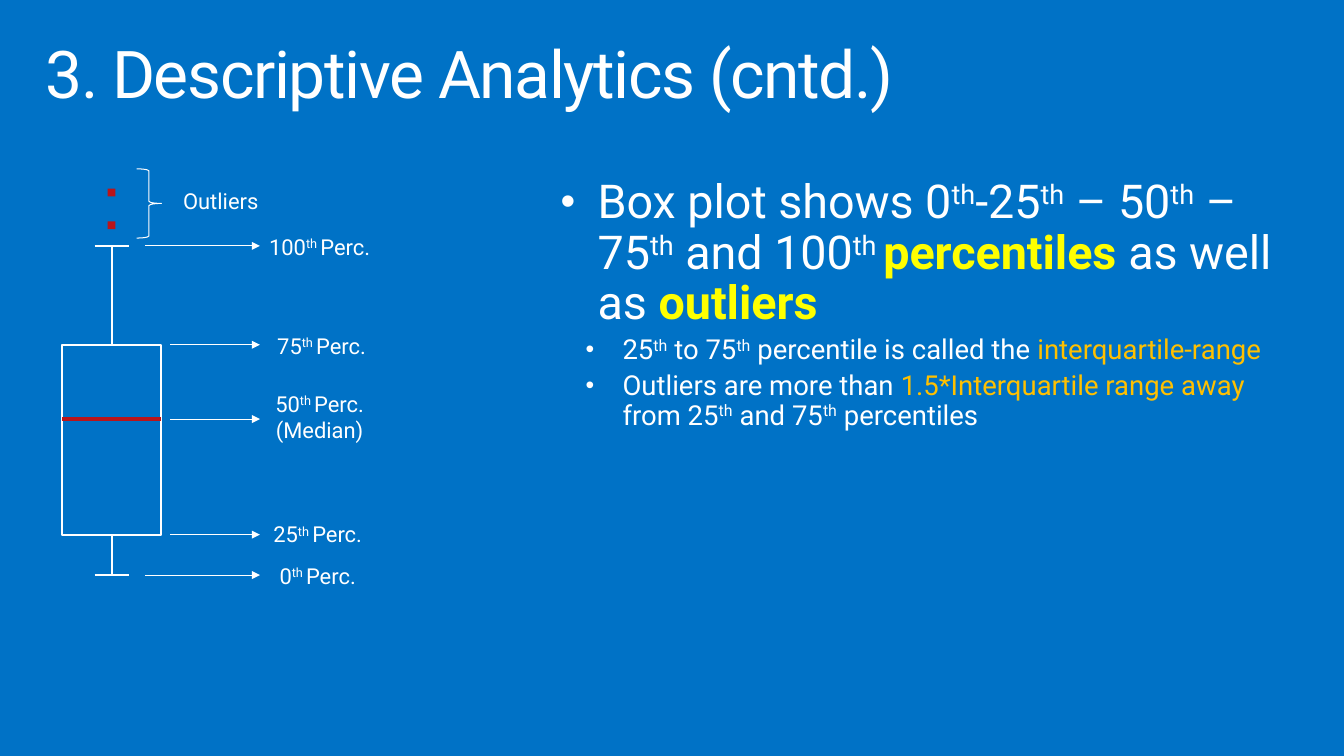
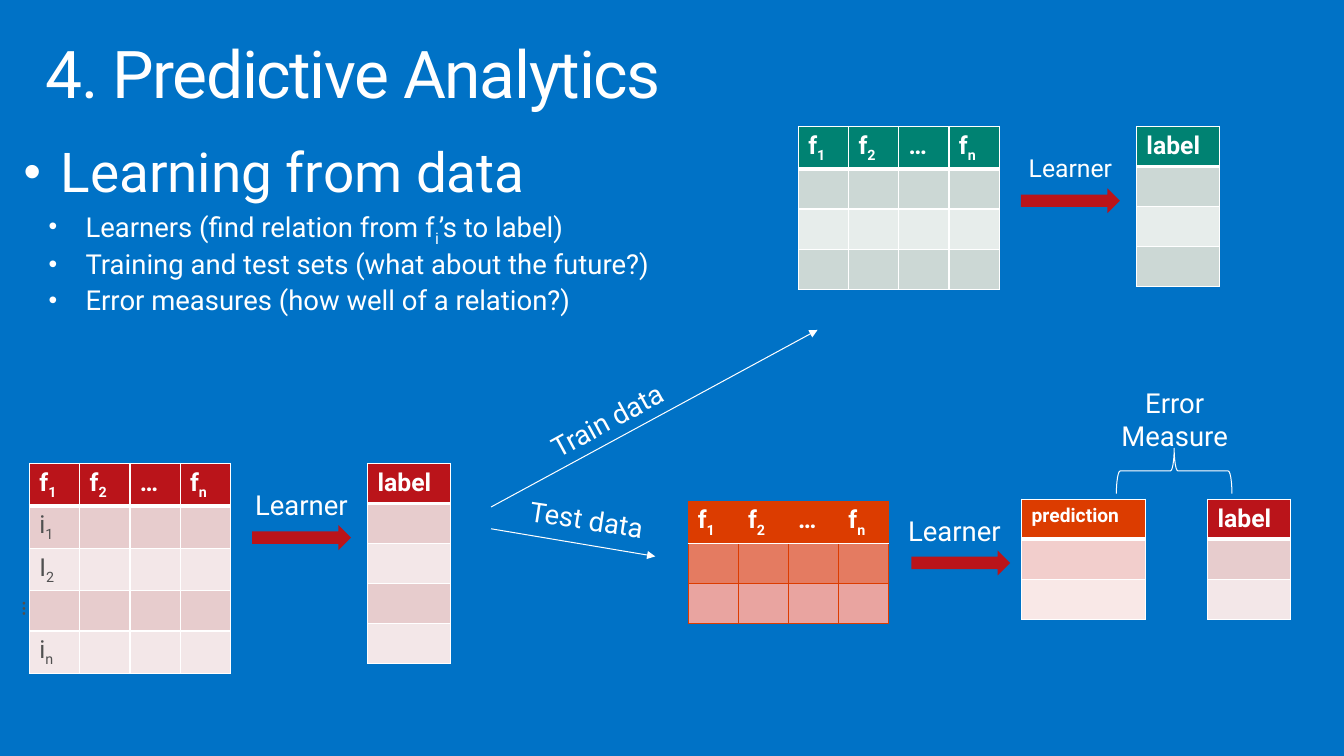
import lxml.etree
import pptx
import pptx.dml.color
import pptx.enum.shapes
import pptx.enum.text
import pptx.oxml.ns
import pptx.util

Cm = pptx.util.Cm
Pt = pptx.util.Pt
RGBColor = pptx.dml.color.RGBColor
SHAPE = pptx.enum.shapes.MSO_SHAPE
qn = pptx.oxml.ns.qn

BLUE = RGBColor(0x00, 0x72, 0xC6)
WHITE = RGBColor(0xFF, 0xFF, 0xFF)
YELLOW = RGBColor(0xFF, 0xFF, 0x00)
GOLD = RGBColor(0xFF, 0xC0, 0x00)
GREY = RGBColor(0x50, 0x50, 0x50)
RED = RGBColor(0xBA, 0x14, 0x1A)
GREEN = RGBColor(0x00, 0x82, 0x72)
ORANGE = RGBColor(0xDC, 0x3C, 0x00)

# Two alternating body fills for each table colour
RED_BANDS = (RGBColor(0xE7, 0xCC, 0xCD), RGBColor(0xF3, 0xE7, 0xE8))
GREEN_BANDS = (RGBColor(0xCC, 0xD8, 0xD5), RGBColor(0xE7, 0xED, 0xEB))
ORANGE_BANDS = (RGBColor(0xE4, 0x7B, 0x61), RGBColor(0xE9, 0xA4, 0xA0))
PREDICTION_BANDS = (RGBColor(0xF2, 0xCE, 0xCC), RGBColor(0xF9, 0xE8, 0xE7))

# A span is plain text or (text, style)
TH = ("th", {"baseline": 30000})
TH_GAP = ("th ", {"baseline": 30000})
STRONG = {"color": YELLOW, "bold": True}
ACCENT = {"color": GOLD}

ROW_HEIGHT = 1.03
FEATURE_WIDTHS = [1.29] * 4
LABEL_WIDTHS = [2.12]


def indexed(letter, index):
    return [letter, (index, {"baseline": -25000})]


FEATURES = [indexed("f", "1"), indexed("f", "2"), ["…"], indexed("f", "n")]


class Builder:
    font = "Roboto"

    def __init__(self):
        self.deck = pptx.Presentation()
        self.deck.slide_width = Cm(34.54)
        self.deck.slide_height = Cm(19.43)
        self.page = None

    def new_page(self, title):
        self.page = self.deck.slides.add_slide(self.deck.slide_layouts[6])
        self.page.background.fill.solid()
        self.page.background.fill.fore_color.rgb = BLUE
        frame = self.text_frame(0.76, 0.81, 33.02, 2.54, 0.41, 0.25)
        para = frame.paragraphs[0]
        para.line_spacing = 0.9
        self.add_spans(para, [(title, {"spacing": -100})], 48)

    def text_frame(self, left, top, width, height, side, edge, rotation=0):
        box = self.page.shapes.add_textbox(Cm(left), Cm(top), Cm(width), Cm(height))
        box.rotation = rotation
        frame = box.text_frame
        frame.word_wrap = True
        frame.auto_size = pptx.enum.text.MSO_AUTO_SIZE.NONE
        frame.margin_left = frame.margin_right = Cm(side)
        frame.margin_top = frame.margin_bottom = Cm(edge)
        return frame

    def add_spans(self, para, spans, size, color=WHITE, bold=False):
        for item in spans:
            text, style = (item, {}) if isinstance(item, str) else item
            span = para.add_run()
            span.text = text
            span.font.name = self.font
            span.font.size = Pt(size)
            span.font.color.rgb = style.get("color", color)
            span.font.bold = style.get("bold", bold)
            properties = span.font._element
            if "baseline" in style:
                properties.set("baseline", str(style["baseline"]))
            if "spacing" in style:
                properties.set("spc", str(style["spacing"]))

    def bullets(self, left, top, width, height, lead_size, paragraphs):
        """The first paragraph leads; the others sit one level below it."""
        frame = self.text_frame(left, top, width, height, 0.41, 0.25)
        for index, spans in enumerate(paragraphs):
            para = frame.add_paragraph() if index else frame.paragraphs[0]
            para.line_spacing = 0.9
            if index:
                para.level = 1
                para.space_before = Pt(4.5)
            properties = para._p.get_or_add_pPr()
            properties.set("marL", str(Cm(1.59 if index else 0.95)))
            properties.set("indent", str(-Cm(0.95)))
            for tag, name, value in (("a:buSzPct", "val", "90000"),
                                     ("a:buFont", "typeface", "Arial"),
                                     ("a:buChar", "char", "•")):
                lxml.etree.SubElement(properties, qn(tag)).set(name, value)
            self.add_spans(para, spans, 20 if index else lead_size)

    def label(self, left, top, width, height, paragraphs, size=20, rotation=0):
        frame = self.text_frame(left, top, width, height, 0, 0.13, rotation)
        frame.vertical_anchor = pptx.enum.text.MSO_ANCHOR.MIDDLE
        for index, spans in enumerate(paragraphs):
            para = frame.add_paragraph() if index else frame.paragraphs[0]
            para.alignment = pptx.enum.text.PP_ALIGN.CENTER
            self.add_spans(para, spans, size)

    def shape(self, kind, left, top, width, height, fill=None, line=None, rotation=0):
        """Draw a preset shape; line is a width in points."""
        shape = self.page.shapes.add_shape(
            kind, Cm(left), Cm(top), Cm(width), Cm(height))
        shape.shadow.inherit = False
        shape.rotation = rotation
        if fill is None:
            shape.fill.background()
        else:
            shape.fill.solid()
            shape.fill.fore_color.rgb = fill
        if line is None:
            shape.line.fill.background()
        else:
            shape.line.color.rgb = WHITE
            shape.line.width = Pt(line)
        return shape

    def line(self, x1, y1, x2, y2, width=1.5, color=WHITE):
        line = self.page.shapes.add_connector(
            pptx.enum.shapes.MSO_CONNECTOR.STRAIGHT, Cm(x1), Cm(y1), Cm(x2), Cm(y2))
        line.line.color.rgb = color
        line.line.width = Pt(width)
        lxml.etree.SubElement(line._element.spPr, qn("a:effectLst"))
        return line

    def arrow(self, x1, y1, x2, y2):
        outline = self.line(x1, y1, x2, y2, 0.75).line._get_or_add_ln()
        lxml.etree.SubElement(outline, qn("a:tailEnd")).set("type", "triangle")

    def border(self, cell, side, color, width):
        properties = cell._tc.get_or_add_tcPr()
        edge = lxml.etree.SubElement(properties, qn("a:ln" + side))
        edge.set("w", str(Pt(width)))
        fill = lxml.etree.SubElement(edge, qn("a:solidFill"))
        lxml.etree.SubElement(fill, qn("a:srgbClr")).set("val", str(color))

    def table(self, left, top, widths, header, body_rows, color, bands,
              size=18, grid=(WHITE, 1), rule=3):
        """Draw a banded table; rule is the line width below the header."""
        rows = body_rows + 1
        table = self.page.shapes.add_table(
            rows, len(widths), Cm(left), Cm(top),
            Cm(sum(widths)), Cm(rows * ROW_HEIGHT)).table
        table.first_row = table.horz_banding = False
        for column, width in zip(table.columns, widths):
            column.width = Cm(width)
        for index, row in enumerate(table.rows):
            row.height = Cm(ROW_HEIGHT)
            for cell in row.cells:
                self.border(cell, "L", *grid)
                self.border(cell, "R", *grid)
                self.border(cell, "T", *((WHITE, rule) if index == 1 else grid))
                self.border(cell, "B", *((WHITE, rule) if index == 0 else grid))
                cell.fill.solid()
                cell.fill.fore_color.rgb = bands[(index - 1) % 2] if index else color
        for column, spans in enumerate(header):
            para = table.cell(0, column).text_frame.paragraphs[0]
            self.add_spans(para, spans, size, bold=True)
        return table

    def learner(self, left, top, size=20, label_left=None):
        self.shape(SHAPE.RIGHT_ARROW, left, top, 2.54, 0.64, fill=RED)
        self.label(left if label_left is None else label_left, top - 1.16,
                   2.54, 1.27, [["Learner"]], size)

    def learning_step(self, left, top, body_rows, color, bands, size):
        """Draw features, a learner arrow and labels; return the features table."""
        features = self.table(left, top, FEATURE_WIDTHS, FEATURES, body_rows, color, bands)
        self.table(left + 8.69, top, LABEL_WIDTHS, [["label"]], body_rows, color, bands)
        self.learner(left + 5.72, top + 1.59, size)
        return features


def descriptive_page(builder):
    builder.new_page("3. Descriptive Analytics (cntd.)")
    builder.bullets(14, 4.34, 19.81, 7.09, 34, [
        ["Box plot shows 0", TH, "-25", TH, " – 50", TH, " – 75", TH, " and 100",
         TH_GAP, ("percentiles ", STRONG), "as well as ", ("outliers", STRONG)],
        ["25", TH, " to 75", TH, " percentile is called the ",
         ("interquartile-range", ACCENT)],
        ["Outliers are more than ", ("1.5*Interquartile range away ", ACCENT),
         "from 25", TH, " and 75", TH, " percentiles"],
    ])

    left, width, center = 1.6, 2.54, 2.87
    maximum, upper, median, lower, minimum = 6.32, 8.86, 10.77, 13.74, 14.78
    box = builder.shape(SHAPE.RECTANGLE, left, upper, width, lower - upper, line=1.5)
    builder.line(left, median, left + width, median, 3, RED)
    for side, edge, end in ((0, upper, maximum), (2, lower, minimum)):
        whisker = builder.line(center, edge, center, end)
        whisker.begin_connect(box, side)
        builder.line(center - 0.44, end, center + 0.44, end)
    for top in (5.69, 4.85):
        builder.shape(SHAPE.RECTANGLE, center - 0.1, top, 0.2, 0.2, fill=RED)

    for percent, y, start, label_left, label_top in (
            ("100", maximum, 3.73, 6.68, 6.12), ("75", upper, 4.37, 6.73, 8.66),
            ("50", median, 4.37, 6.68, 10.49), ("25", lower, 4.37, 6.63, 13.51),
            ("0", minimum, 3.73, 6.63, 14.58)):
        builder.arrow(start, y, 6.68, y)
        paragraphs = [[percent, TH_GAP, "Perc."]]
        if y == median:
            paragraphs.append(["(Median)"])
        builder.label(label_left, label_top, 3.07, 0.43, paragraphs, 16)
    builder.shape(SHAPE.RIGHT_BRACE, 3.51, 4.34, 0.64, 1.78, line=0.75)
    builder.label(4.14, 4.95, 3.07, 0.43, [["Outliers"]], 16)


def predictive_page(builder):
    builder.new_page("4. Predictive Analytics")
    builder.bullets(0.2, 3.48, 16.94, 4.88, 40, [
        ["Learning from data"],
        ["Learners (find relation from f", ("i", {"baseline": -25000}), "’s to label)"],
        ["Training and test sets (what about the future?)"],
        ["Error measures (how well of a relation?)"],
    ])

    instances = builder.learning_step(0.76, 11.91, 4, RED, RED_BANDS, 20)
    names = [indexed("i", "1"), indexed("I", "2"), [" …"], indexed("i", "n")]
    for row, spans in enumerate(names, 1):
        para = instances.cell(row, 0).text_frame.paragraphs[0]
        builder.add_spans(para, spans, 18, GREY)
    instances.cell(3, 0)._tc.get_or_add_tcPr().set("vert", "vert")
    builder.learning_step(20.52, 3.25, 3, GREEN, GREEN_BANDS, 18)

    builder.table(17.68, 12.88, FEATURE_WIDTHS, FEATURES, 2, ORANGE, ORANGE_BANDS,
                  grid=(ORANGE, 0.75), rule=0.85)
    builder.learner(23.42, 14.15, label_left=23.26)
    builder.table(26.26, 12.83, [3.18], [["prediction"]], 2, ORANGE,
                  PREDICTION_BANDS, size=14)
    builder.table(31.04, 12.83, LABEL_WIDTHS, [["label"]], 2, RED, RED_BANDS)

    builder.arrow(12.62, 13.03, 21.01, 8.48)
    builder.label(13.59, 10.16, 4.01, 1.27, [["Train data"]], rotation=331.4)
    builder.arrow(12.62, 13.59, 16.84, 14.3)
    builder.label(13.44, 12.7, 3.28, 1.27, [["Test data"]], rotation=8.7)
    builder.shape(SHAPE.LEFT_BRACE, 29.59, 10.62, 1.17, 2.97, line=0.75, rotation=90)
    builder.label(28.35, 10.13, 3.68, 1.27, [["Error Measure"]])


def main():
    builder = Builder()
    descriptive_page(builder)
    predictive_page(builder)
    builder.deck.save("out.pptx")


if __name__ == "__main__":
    main()
